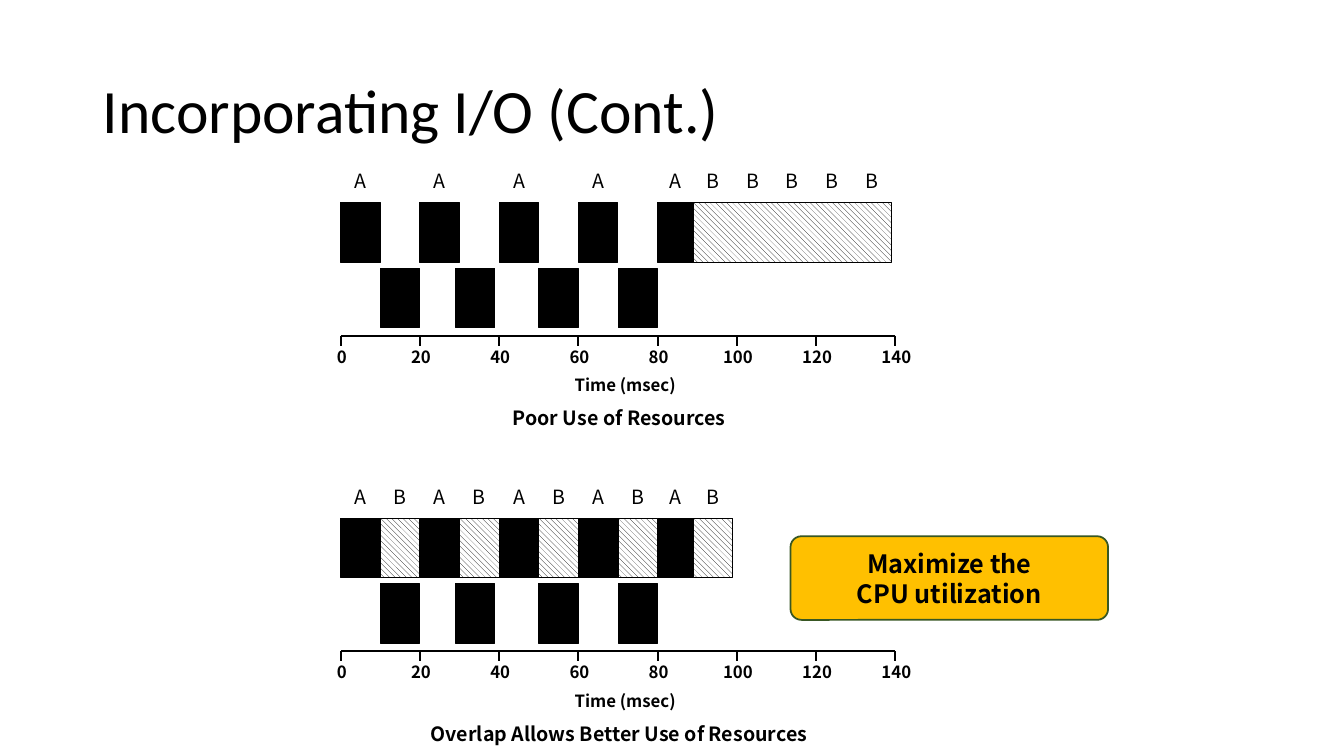
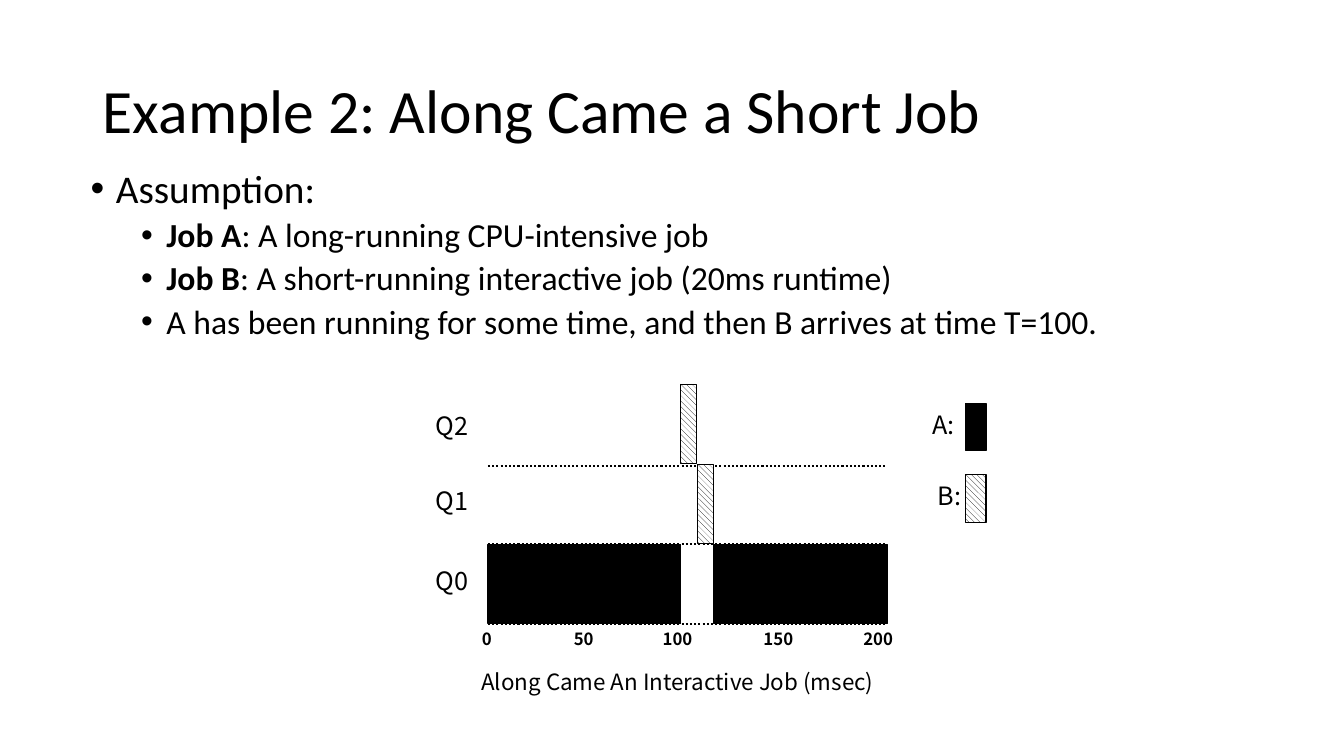
from lxml import etree
from pptx import Presentation
from pptx.dml.color import RGBColor
from pptx.enum.dml import MSO_LINE, MSO_PATTERN
from pptx.enum.shapes import MSO_CONNECTOR, MSO_SHAPE
from pptx.enum.text import MSO_ANCHOR, MSO_AUTO_SIZE, PP_ALIGN
from pptx.oxml.ns import qn
from pptx.util import Inches, Pt

RECT, ROUND = MSO_SHAPE.RECTANGLE, MSO_SHAPE.ROUNDED_RECTANGLE
STRAIGHT, DOTTED = MSO_CONNECTOR.STRAIGHT, MSO_LINE.ROUND_DOT
HATCH = MSO_PATTERN.WIDE_DOWNWARD_DIAGONAL
LEFT, CENTER = PP_ALIGN.LEFT, PP_ALIGN.CENTER
MIDDLE, TOP, NO_FIT = MSO_ANCHOR.MIDDLE, MSO_ANCHOR.TOP, MSO_AUTO_SIZE.NONE

COLORS = {"ink": "000000", "paper": "FFFFFF", "callout": "FFC000", "edge": "385723"}
TEXT_FONT, CHART_FONT = "Calibri", "Noto Sans CJK KR"

# Content: bars are (job, start, end), labels are (job, start), in msec
IO_TITLE = "Incorporating I/O (Cont.)"
CPU_A = [("A", 0, 10), ("A", 20, 30), ("A", 40, 50), ("A", 60, 70), ("A", 80, 89)]
CPU_B = [("B", 10, 20), ("B", 30, 40), ("B", 50, 60), ("B", 70, 80), ("B", 89, 99)]
DISK_STARTS = (10, 29, 50, 70)
TIMELINES = [
    {"axis": 3.33, "caption": "Poor Use of Resources",
     "bars": CPU_A + [("B", 89, 139)],
     "labels": CPU_A + [("B", t, t + 10) for t in range(89, 139, 10)]},
    {"axis": 6.46, "caption": "Overlap Allows Better Use of Resources",
     "bars": CPU_A + CPU_B, "labels": CPU_A + CPU_B},
]
CALLOUT = ["Maximize the", "CPU utilization"]

JOB_TITLE = "Example 2: Along Came a Short Job"
BULLETS = [  # level, bold lead, rest
    (0, "", "Assumption:"),
    (1, "Job A", ": A long-running CPU-intensive job"),
    (1, "Job B", ": A short-running interactive job (20ms runtime)"),
    (1, "", "A has been running for some time, and then B arrives at time T=100."),
]
QUEUES = [("Q2", 4.02), ("Q1", 4.77), ("Q0", 5.56)]
QUEUE_BARS = [  # job, queue row, left, width
    ("A", 2, 4.84, 1.91), ("B", 0, 6.75, 0.16),
    ("B", 1, 6.92, 0.16), ("A", 2, 7.08, 1.72),
]
QUEUE_TICKS = [("0", 4.83), ("50", 5.79), ("100", 6.72), ("150", 7.72), ("200", 8.71)]
LEGEND = [("A", 9.36, 4.0), ("B", 9.42, 4.71)]
QUEUE_CAPTION = "Along Came An Interactive Job (msec)"


def rgb(name):
    return RGBColor.from_string(COLORS[name])


def write(p, text, size=12, font=CHART_FONT, bold=False, align=CENTER):
    p.alignment = align
    r = p.add_run()
    r.text = text
    r.font.size, r.font.name, r.font.bold = Pt(size), font, bold
    r.font.color.rgb = rgb("ink")


def add_label(slide, text, center, top, width=0.7, height=0.3, **fmt):
    sp = slide.shapes.add_textbox(Inches(center - width / 2), Inches(top),
                                  Inches(width), Inches(height))
    sp.text_frame.word_wrap = True
    write(sp.text_frame.paragraphs[0], text, **fmt)


def add_box(slide, kind, x, y, w, h, line="ink", weight=0.75):
    sp = slide.shapes.add_shape(kind, Inches(x), Inches(y), Inches(w), Inches(h))
    sp.shadow.inherit = False
    sp.line.color.rgb, sp.line.width = rgb(line), Pt(weight)
    return sp


def add_job(slide, job, x, y, w, h):
    fill = add_box(slide, RECT, x, y, w, h).fill
    if job == "A":
        fill.solid()
        fill.fore_color.rgb = rgb("ink")
    else:
        fill.patterned()
        fill.pattern = HATCH
        fill.fore_color.rgb, fill.back_color.rgb = rgb("ink"), rgb("paper")


def add_line(slide, x1, y1, x2, y2, dash=None):
    line = slide.shapes.add_connector(STRAIGHT, Inches(x1), Inches(y1),
                                      Inches(x2), Inches(y2))
    line.line.color.rgb, line.line.width = rgb("ink"), Pt(1.5)
    if dash:
        line.line.dash_style = dash
    etree.SubElement(line._element.spPr, qn("a:effectLst"))


def place(sp, x, y, w, h, anchor):
    sp.left, sp.top, sp.width, sp.height = (Inches(v) for v in (x, y, w, h))
    tf = sp.text_frame
    tf.word_wrap, tf.auto_size, tf.vertical_anchor = True, NO_FIT, anchor
    return tf


def new_slide(prs, layout, title):
    slide = prs.slides.add_slide(prs.slide_layouts[layout])
    p = place(slide.shapes.title, 0.92, 0.4, 11.5, 1.45, MIDDLE).paragraphs[0]
    p.line_spacing = 0.9
    write(p, title, size=44, font=TEXT_FONT, align=LEFT)
    return slide


def add_bullets(tf, bullets):
    for i, (level, lead, rest) in enumerate(bullets):
        p = tf.add_paragraph() if i else tf.paragraphs[0]
        p.level, p.line_spacing, p.space_before = level, 0.9, Pt(5 if level else 10)
        for text, bold in ((lead, True), (rest, False)):
            if text:
                write(p, text, size=24 if level else 28, font=TEXT_FONT,
                      bold=bold, align=LEFT)
        pPr = p._p.get_or_add_pPr()
        pPr.set("marL", str(Inches(0.25 + 0.5 * level)))
        pPr.set("indent", str(Inches(-0.25)))
        etree.SubElement(pPr, qn("a:buFont")).set("typeface", "Arial")
        etree.SubElement(pPr, qn("a:buChar")).set("char", "•")


def add_timeline(slide, axis, caption, bars, labels):
    def at(t):
        return 3.38 + t * 5.5 / 140

    # Axis with ticks
    add_line(slide, at(0), axis, at(140), axis)
    for t in range(0, 141, 20):
        add_line(slide, at(t), axis, at(t), axis + 0.1)
        add_label(slide, str(t), at(t) + 0.01, axis + 0.06, bold=True)
    add_label(slide, "Time (msec)", 6.2, axis + 0.34, width=1.65, bold=True)
    add_label(slide, caption, 6.14, axis + 0.65, width=4.15, height=0.34,
              size=14, bold=True)
    # CPU row above, disk row below
    for job, start, end in bars:
        add_job(slide, job, at(start), axis - 1.32, at(end) - at(start), 0.59)
    for start in DISK_STARTS:
        add_job(slide, "A", at(start), axis - 0.67, 0.39, 0.59)
    for job, start, end in labels:
        add_label(slide, job, at((start + end) / 2), axis - 1.7, width=0.39,
                  height=0.34, size=14)


def build_io_slide(prs):
    slide = new_slide(prs, 5, IO_TITLE)
    for timeline in TIMELINES:
        add_timeline(slide, **timeline)
    # Callout
    sp = add_box(slide, ROUND, 7.84, 5.32, 3.15, 0.83, line="edge", weight=1.25)
    sp.adjustments[0] = 0.13
    sp.fill.solid()
    sp.fill.fore_color.rgb = rgb("callout")
    tf = sp.text_frame
    tf.vertical_anchor = MIDDLE
    for i, text in enumerate(CALLOUT):
        write(tf.add_paragraph() if i else tf.paragraphs[0], text, size=18, bold=True)


def build_job_slide(prs):
    slide = new_slide(prs, 1, JOB_TITLE)
    add_bullets(place(slide.placeholders[1], 0.8, 1.63, 11.5, 4.76, TOP), BULLETS)
    # Queue chart
    for y in (4.62, 5.4, 6.19):
        add_line(slide, 4.84, y, 8.78, y, dash=DOTTED)
    for job, row, x, w in QUEUE_BARS:
        add_job(slide, job, x, 3.81 + row * 0.795, w, 0.79)
    for name, y in QUEUES:
        add_label(slide, name, 4.48, y, height=0.4, size=18)
    for tick, x in QUEUE_TICKS:
        add_label(slide, tick, x, 6.19, bold=True)
    add_label(slide, QUEUE_CAPTION, 6.72, 6.58, width=4.61, height=0.37, size=16)
    # Legend
    for job, x, y in LEGEND:
        add_job(slide, job, 9.58, y, 0.2, 0.47)
        add_label(slide, job + ":", x, y + 0.01, width=0.57, height=0.4, size=18)


def main():
    prs = Presentation()
    prs.slide_width, prs.slide_height = Inches(13.33), Inches(7.5)
    build_io_slide(prs)
    build_job_slide(prs)
    prs.save("out.pptx")


if __name__ == "__main__":
    main()
